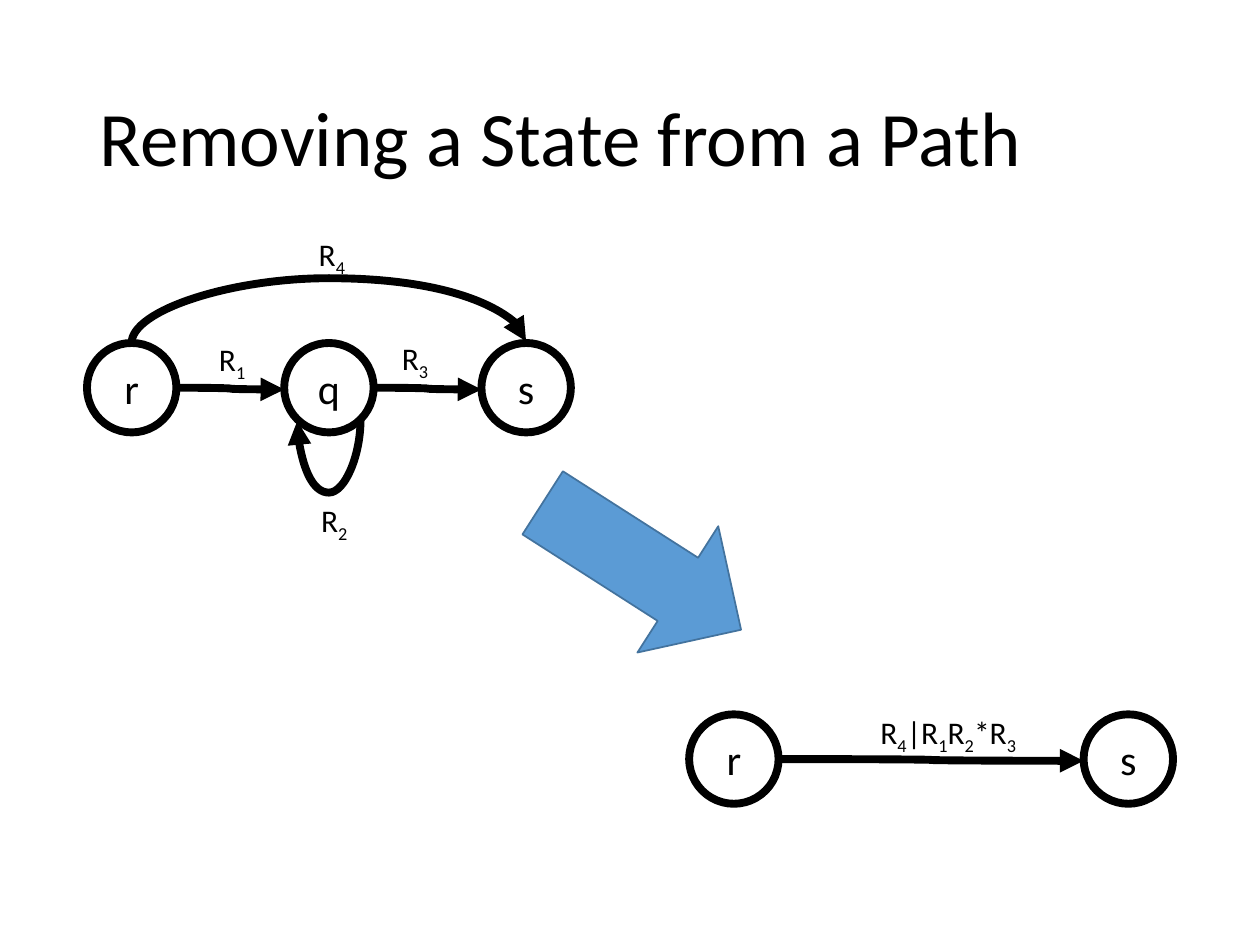
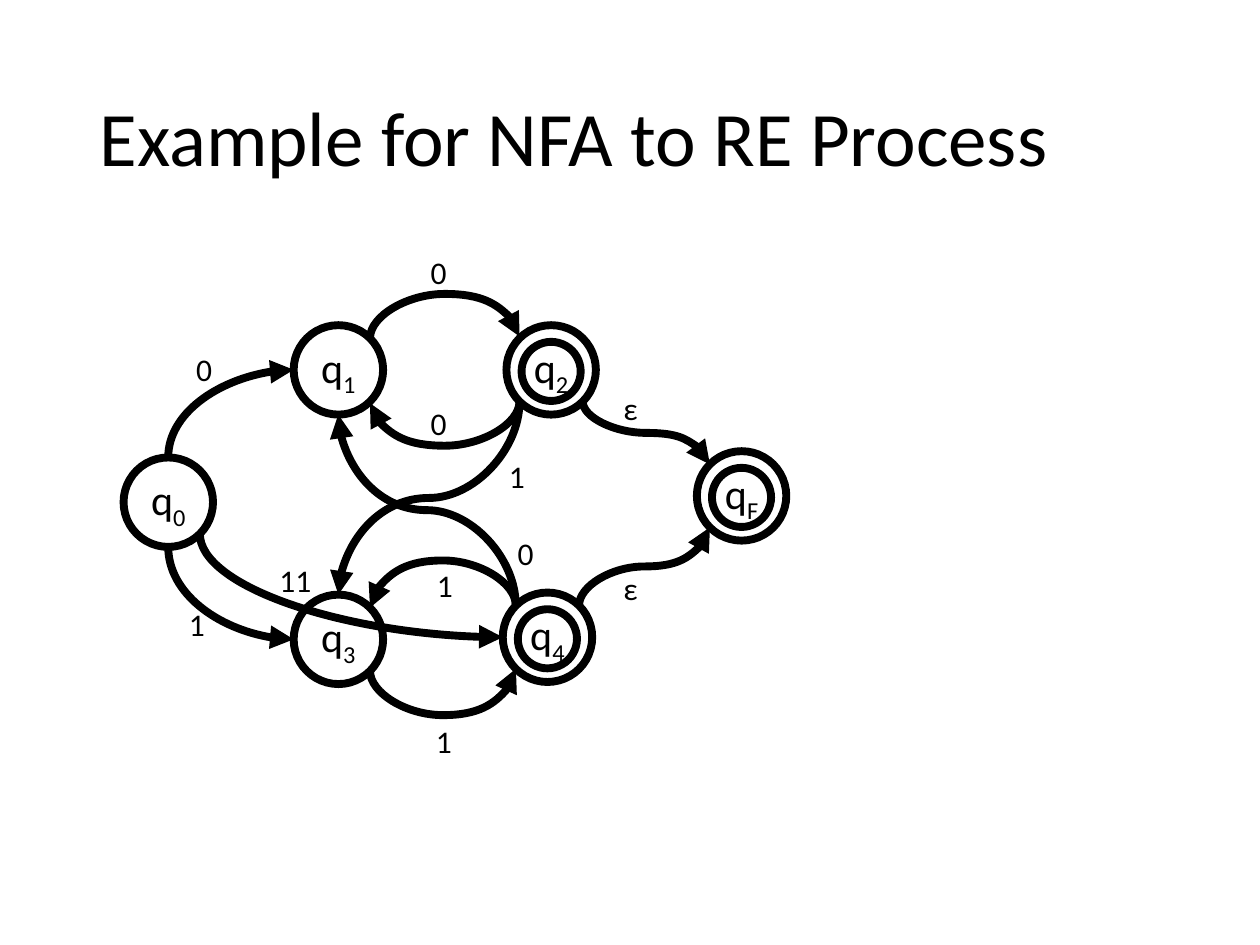
from math import copysign, cos, radians, sin

from lxml import etree
from pptx import Presentation
from pptx.dml.color import RGBColor
from pptx.enum.shapes import MSO_CONNECTOR, MSO_SHAPE
from pptx.enum.text import MSO_ANCHOR, MSO_AUTO_SIZE, PP_ALIGN
from pptx.oxml.ns import qn
from pptx.util import Pt

FONT = "Calibri"
BLACK, BLUE, BLUE_EDGE = "000000", "5B9BD5", "43739E"
STATE, RING = 51.1, 33.8  # diameters of a state and its accepting ring
STROKE = 4.5

# Connection sites of an ellipse, counter-clockwise from the top
TOP, TOP_LEFT, LEFT, BOTTOM_LEFT, BOTTOM, BOTTOM_RIGHT, RIGHT, TOP_RIGHT = range(8)


def color(hex_code):
    return RGBColor.from_string(hex_code)


def style_run(run, size):
    run.font.name, run.font.size = FONT, Pt(size)
    run.font.color.rgb = color(BLACK)


def write(paragraph, text, size):
    """Write text; a character after an underscore is a subscript."""
    head, *tails = text.split("_")
    pieces = [(head, False)]
    for tail in tails:
        pieces += [(tail[0], True), (tail[1:], False)]
    for piece, is_subscript in pieces:
        if piece:
            run = paragraph.add_run()
            run.text = piece
            style_run(run, size)
            if is_subscript:
                run.font._element.set("baseline", "-25000")


def add_slide(prs, title):
    slide = prs.slides.add_slide(prs.slide_layouts[5])
    box = slide.shapes.title
    box.left, box.top, box.width, box.height = Pt(49.7), Pt(28.8), Pt(620.6), Pt(104.4)
    frame = box.text_frame
    frame.auto_size = MSO_AUTO_SIZE.NONE
    frame.vertical_anchor = MSO_ANCHOR.MIDDLE
    paragraph = frame.paragraphs[0]
    paragraph.alignment, paragraph.line_spacing = PP_ALIGN.LEFT, 0.9
    write(paragraph, title, 44)
    return slide


def add_circle(slide, left, top, size):
    circle = slide.shapes.add_shape(MSO_SHAPE.OVAL, Pt(left), Pt(top), Pt(size), Pt(size))
    circle.shadow.inherit = False
    circle.fill.background()
    circle.line.color.rgb = color(BLACK)
    circle.line.width = Pt(STROKE)
    return circle


def add_state(slide, name, left, top, accepting=False):
    circle = add_circle(slide, left, top, STATE)
    frame = circle.text_frame
    frame.word_wrap = False
    frame.vertical_anchor = MSO_ANCHOR.MIDDLE
    frame.paragraphs[0].alignment = PP_ALIGN.CENTER
    write(frame.paragraphs[0], name, 24)
    if accepting:
        inset = (STATE - RING) / 2
        add_circle(slide, left + inset, top + inset + 0.9, RING)
    return circle


def site_point(state, site):
    """Position of a connection site, in points."""
    angle, radius = radians(90 + 45 * site), STATE / 2
    return (state.left.pt + radius * (1 + cos(angle)),
            state.top.pt + radius * (1 - sin(angle)))


def add_edge(slide, source, source_site, target, target_site, bend=None):
    """Curved arrow; bend is how far down (or up, if negative) it swings."""
    x1, y1 = site_point(source, source_site)
    x2, y2 = site_point(target, target_site)
    dx, dy = x2 - x1, y2 - y1
    if abs(dy) < 1:  # a level curve still needs a box one point high
        dy = copysign(1, bend or 1)
    edge = slide.shapes.add_connector(MSO_CONNECTOR.CURVE, Pt(x1), Pt(y1), Pt(x2), Pt(y2))

    # Glue both ends; begin_connect knows only four of the eight sites
    ends = edge.element.nvCxnSpPr.cNvCxnSpPr
    for tag, state, site in [("a:stCxn", source, source_site), ("a:endCxn", target, target_site)]:
        etree.SubElement(ends, qn(tag), id=str(state.shape_id), idx=str(site))

    # A curve that leaves vertically is a quarter-turned horizontal one
    upright = source_site != RIGHT
    if upright:
        width, height, flip_h, flip_v = abs(dy), abs(dx), dy < 0, dx > 0
    else:
        width, height, flip_h, flip_v = abs(dx), abs(dy), dx < 0, dy < 0
    edge.left, edge.top = Pt(x1 + (dx - width) / 2), Pt(y1 + (dy - height) / 2)
    edge.width, edge.height = Pt(width), Pt(height)
    properties = edge.element.spPr
    frame = properties.find(qn("a:xfrm"))
    frame.set("rot", "5400000" if upright else "0")
    frame.set("flipH", str(int(flip_h)))
    frame.set("flipV", str(int(flip_v)))

    # One bend into a left side, otherwise two with an adjustable middle
    geometry = properties.find(qn("a:prstGeom"))
    if upright and target_site == LEFT:
        geometry.set("prst", "curvedConnector2")
    else:
        share = 0.5 if bend is None else bend / dy
        guides = geometry.find(qn("a:avLst"))
        etree.SubElement(guides, qn("a:gd"), name="adj1", fmla=f"val {round(share * 100000)}")

    edge.line.color.rgb = color(BLACK)
    edge.line.width = Pt(STROKE)
    etree.SubElement(properties.find(qn("a:ln")), qn("a:tailEnd"), type="triangle")
    etree.SubElement(properties, qn("a:effectLst"))


def add_label(slide, text, left, top, width=23.8):
    box = slide.shapes.add_textbox(Pt(left), Pt(top), Pt(width), Pt(29))
    box.text_frame.word_wrap = False
    box.text_frame.auto_size = MSO_AUTO_SIZE.SHAPE_TO_FIT_TEXT
    write(box.text_frame.paragraphs[0], text, 18)


def add_block_arrow(slide):
    arrow = slide.shapes.add_shape(MSO_SHAPE.RIGHT_ARROW, Pt(299.5), Pt(280.8), Pt(134.6), Pt(85.7))
    arrow.rotation = 32.6
    arrow.shadow.inherit = False
    arrow.fill.solid()
    arrow.fill.fore_color.rgb = color(BLUE)
    arrow.line.color.rgb = color(BLUE_EDGE)
    arrow.line.width = Pt(1)


def removing_state(prs):
    slide = add_slide(prs, "Removing a State from a Path")
    step = 112.7

    # Path through q
    r, q, s = [add_state(slide, name, 49.7 + i * step, 196) for i, name in enumerate("rqs")]
    add_edge(slide, r, RIGHT, q, LEFT)
    add_edge(slide, q, RIGHT, s, LEFT)
    add_edge(slide, q, BOTTOM_RIGHT, q, BOTTOM_LEFT, bend=42.2)
    add_edge(slide, r, TOP, s, TOP, bend=-37.3)
    for text, left, top in [("R_1", 118, 190.8), ("R_3", 222.5, 190),
                            ("R_4", 175, 131), ("R_2", 176.4, 283)]:
        add_label(slide, text, left, top, 30.2)

    # Path without q
    r, s = [add_state(slide, name, 393.8 + i * 2 * step, 408.2) for i, name in enumerate("rs")]
    add_edge(slide, r, RIGHT, s, LEFT)
    add_label(slide, "R_4|R_1R_2*R_3", 496, 404, 95.8)
    add_block_arrow(slide)


def nfa_example(prs):
    slide = add_slide(prs, "Example for NFA to RE Process")

    # States
    q0 = add_state(slide, "q_0", 70.6, 261.4)
    q1 = add_state(slide, "q_1", 167.8, 185.8)
    q2 = add_state(slide, "q_2", 289.4, 185.8, accepting=True)
    q3 = add_state(slide, "q_3", 167.8, 339.8)
    q4 = add_state(slide, "q_4", 287.3, 338.6, accepting=True)
    qf = add_state(slide, "q_F", 398.2, 257.8, accepting=True)

    # Transitions
    for transition in [
        (q0, TOP, q1, LEFT),
        (q0, BOTTOM, q3, LEFT),
        (q0, BOTTOM_RIGHT, q4, LEFT),
        (q1, TOP_RIGHT, q2, TOP_LEFT, -25.5),
        (q2, BOTTOM_LEFT, q1, BOTTOM_RIGHT, 25.5),
        (q3, BOTTOM_RIGHT, q4, BOTTOM_LEFT, 25.5),
        (q4, TOP_LEFT, q3, TOP_RIGHT, -26),
        (q2, BOTTOM_LEFT, q3, TOP),
        (q4, TOP_LEFT, q1, BOTTOM),
        (q2, BOTTOM_RIGHT, qf, TOP_LEFT),
        (q4, TOP_RIGHT, qf, BOTTOM_LEFT),
    ]:
        add_edge(slide, *transition)

    # Input symbols
    for text, left, top in [
        ("0", 105, 196.6), ("1", 100.8, 342), ("11", 152.6, 316.8),
        ("0", 239, 141), ("0", 239, 227.5), ("1", 242, 409), ("1", 242.6, 319.7),
        ("0", 288.7, 301.7), ("1", 283.7, 257.8), ("ε", 349.2, 218.9), ("ε", 349.2, 321.8),
    ]:
        add_label(slide, text, left, top, 33.1 if text == "11" else 23.8)


def main():
    prs = Presentation()
    prs.slide_width, prs.slide_height = Pt(720), Pt(540)
    removing_state(prs)
    nfa_example(prs)
    prs.save("out.pptx")


main()
